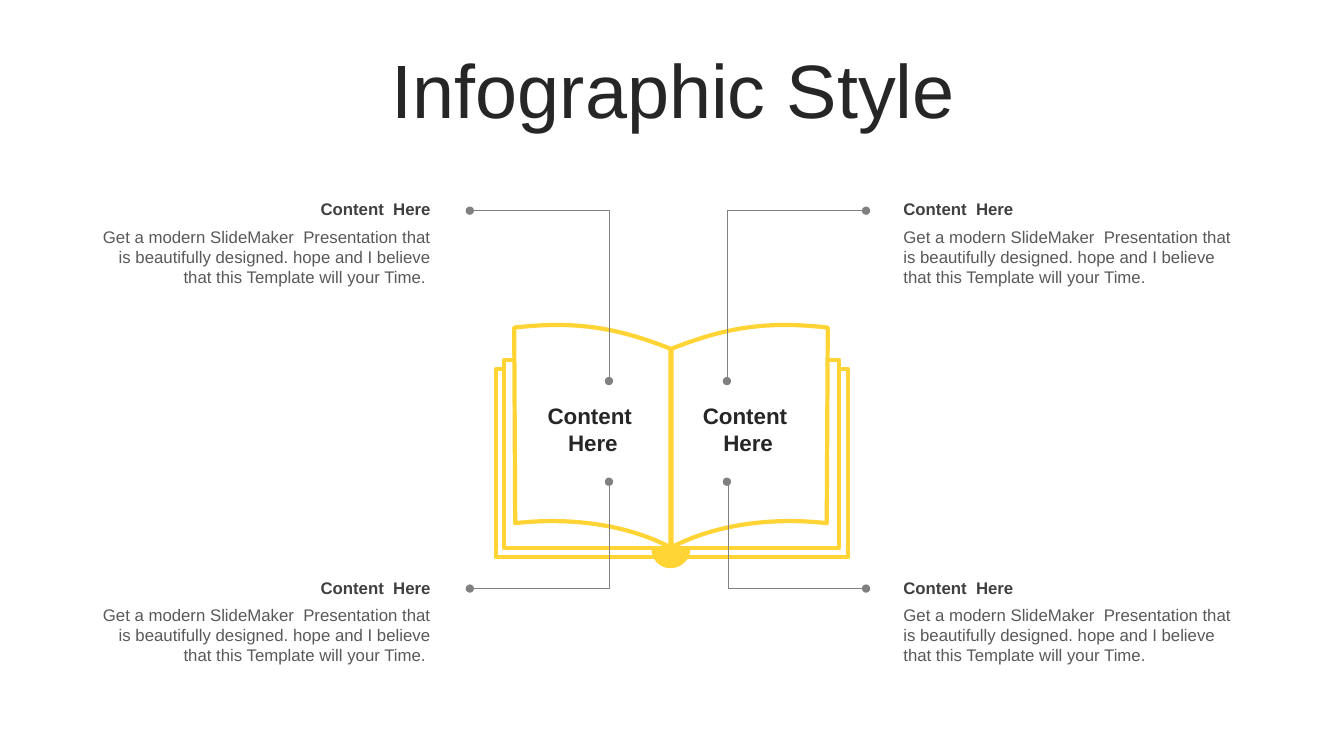
from dataclasses import dataclass

from lxml.etree import SubElement as Sub
from pptx import Presentation
from pptx.dml.color import RGBColor as Rgb
from pptx.enum.shapes import MSO_CONNECTOR as Link, MSO_SHAPE as Kind
from pptx.enum.text import MSO_ANCHOR as Anchor, MSO_AUTO_SIZE as Fit, PP_ALIGN as Align
from pptx.oxml.ns import qn
from pptx.util import Inches, Pt

Point = tuple[float, float]
Step = tuple[Point, ...]  # one point is a straight line, three are a curve


@dataclass(frozen=True)
class Theme:
    font: str = "Arial"
    gold: Rgb = Rgb.from_string("FFD434")
    white: Rgb = Rgb.from_string("FFFFFF")
    grey: Rgb = Rgb.from_string("808080")
    ink: Rgb = Rgb.from_string("262626")
    dark: Rgb = Rgb.from_string("404040")
    soft: Rgb = Rgb.from_string("595959")
    title: Pt = Pt(54)
    label: Pt = Pt(16)
    note: Pt = Pt(12)


@dataclass(frozen=True)
class Box:
    left: float
    top: float
    width: float
    height: float


@dataclass(frozen=True)
class Style:
    size: Pt
    color: Rgb
    bold: bool = False
    align: Align = Align.LEFT
    anchor: Anchor = Anchor.MIDDLE
    inset: tuple[float, float, float, float] = (0, 0.05, 0.1, 0.05)
    space: float = 1.0
    fit: Fit = Fit.SHAPE_TO_FIT_TEXT


@dataclass(frozen=True)
class Note:
    left: float
    top: float
    body: float
    align: Align
    start: Point
    end: Point
    bend: int = 100000
    tail: str = ""


THEME = Theme()
HEAD = "Content  Here"
BODY = ("Get a modern SlideMaker  Presentation that is beautifully designed. "
        "hope and I believe that this Template will your Time.")
LEFT, RIGHT = 0.88, 8.96
NOTES = [
    Note(RIGHT, 5.68, 5.95, Align.LEFT, (8.59, 5.84), (7.21, 4.78), 99000),
    Note(RIGHT, 1.92, 2.2, Align.LEFT, (8.59, 2.09), (7.21, 3.78)),
    Note(LEFT, 5.68, 5.95, Align.RIGHT, (4.66, 5.84), (6.04, 4.78), 100500, " "),
    Note(LEFT, 1.92, 2.2, Align.RIGHT, (4.66, 2.09), (6.04, 3.78), tail=" "),
]
SHEETS = [Box(4.92, 3.66, 3.49, 1.87), Box(5, 3.57, 3.32, 1.87)]
LABELS = [Box(left, 3.94, 1.18, 0.64) for left in (5.29, 6.83)]


def apply(target, values: dict) -> None:
    for name, value in values.items():
        setattr(target, name, value)


def write(host, box: Box, text: str, style: Style) -> None:
    shape = host.shapes.add_textbox(
        *map(Inches, (box.left, box.top, box.width, box.height)))
    frame = shape.text_frame
    left, top, right, base = map(Inches, style.inset)
    apply(frame, {
        "word_wrap": True, "auto_size": style.fit,
        "vertical_anchor": style.anchor,
        "margin_left": left, "margin_top": top,
        "margin_right": right, "margin_bottom": base,
    })
    para = frame.paragraphs[0]
    apply(para, {"alignment": style.align, "line_spacing": style.space})
    run = para.add_run()
    run.text = text
    apply(run.font, {"name": THEME.font, "size": style.size, "bold": style.bold})
    run.font.color.rgb = style.color


def paint(shape, fill: Rgb, width: float) -> None:
    shape.shadow.inherit = False
    shape.fill.solid()
    shape.fill.fore_color.rgb = fill
    shape.line.color.rgb = THEME.gold
    shape.line.width = Pt(width)


def trace(host, start: Point, steps: list[Step], fill: Rgb, width: float) -> None:
    """Draw a closed outline, turning each three-point step into a curve."""
    pen = host.shapes.build_freeform(*map(Inches, start))
    pen.add_line_segments([tuple(map(Inches, step[-1])) for step in steps])
    shape = pen.convert_to_shape()
    route = next(shape._element.iter(qn("a:path")))
    for line in route.findall(qn("a:lnTo")):
        route.remove(line)
    for step in steps:
        part = Sub(route, qn("a:cubicBezTo" if len(step) == 3 else "a:lnTo"))
        for x, y in step:
            Sub(part, qn("a:pt"), x=str(Inches(x) - shape.left),
                y=str(Inches(y) - shape.top))
    Sub(route, qn("a:close"))
    paint(shape, fill, width)


def draw_book(host) -> None:
    for box in SHEETS:
        sheet = host.shapes.add_shape(Kind.RECTANGLE, *map(
            Inches, (box.left, box.top, box.width, box.height)))
        paint(sheet, THEME.white, 3)
    for spine, side in ((6.66, 1), (6.65, -1)):
        def at(x: float, y: float) -> Point:
            return spine + side * x, y
        trace(host, at(0, 3.46), [
            (at(0.53, 3.25), at(0.94, 3.18), at(1.55, 3.25)),
            (at(1.54, 5.19),),
            (at(1, 5.13), at(0.44, 5.2), at(0, 5.43)),
            (at(0, 3.46),),
        ], THEME.white, 3)
    trace(host, (6.47, 5.45), [
        ((6.84, 5.45),),
        ((6.84, 5.55), (6.75, 5.63), (6.65, 5.63)),
        ((6.55, 5.63), (6.47, 5.55), (6.47, 5.45)),
    ], THEME.gold, 1)


def join(slide, note: Note) -> None:
    """Run a dotted-end line level from the note, then upright to the page."""
    wire = slide.shapes.add_connector(
        Link.ELBOW, *map(Inches, note.start + note.end))
    wire.line.color.rgb = THEME.grey
    wire.line.width = Pt(0.5)
    props = wire._element.spPr
    guides = props.find(qn("a:prstGeom")).get_or_add_avLst()
    Sub(guides, qn("a:gd"), name="adj1", fmla=f"val {note.bend}")
    for tip in ("a:headEnd", "a:tailEnd"):
        Sub(wire.line._get_or_add_ln(), qn(tip), type="oval")
    Sub(props, qn("a:effectLst"))


def add_note(host, note: Note) -> None:
    write(host, Box(note.left, note.top, 3.49, 0.3), HEAD,
          Style(THEME.note, THEME.dark, True, note.align))
    write(host, Box(note.left, note.body, 3.49, 0.71), BODY + note.tail,
          Style(THEME.note, THEME.soft, False, note.align, Anchor.TOP))


def main() -> None:
    deck = Presentation()
    apply(deck, {"slide_width": Inches(13.33), "slide_height": Inches(7.5)})
    slide = deck.slides.add_slide(deck.slide_layouts[6])
    write(slide, Box(0.35, 0.51, 12.66, 0.79), "Infographic Style",
          Style(THEME.title, THEME.ink, align=Align.CENTER,
                inset=(0.1, 0.1, 0.1, 0.05), space=0.9, fit=Fit.NONE))
    draw_book(slide.shapes.add_group_shape())
    for note in NOTES:
        add_note(slide.shapes.add_group_shape(), note)
    for note in NOTES:
        join(slide, note)
    for box in LABELS:
        write(slide, box, HEAD, Style(THEME.label, THEME.ink, True, Align.CENTER,
                                      inset=(0.1, 0.05, 0.1, 0.05)))
    deck.save("out.pptx")


if __name__ == "__main__":
    main()
